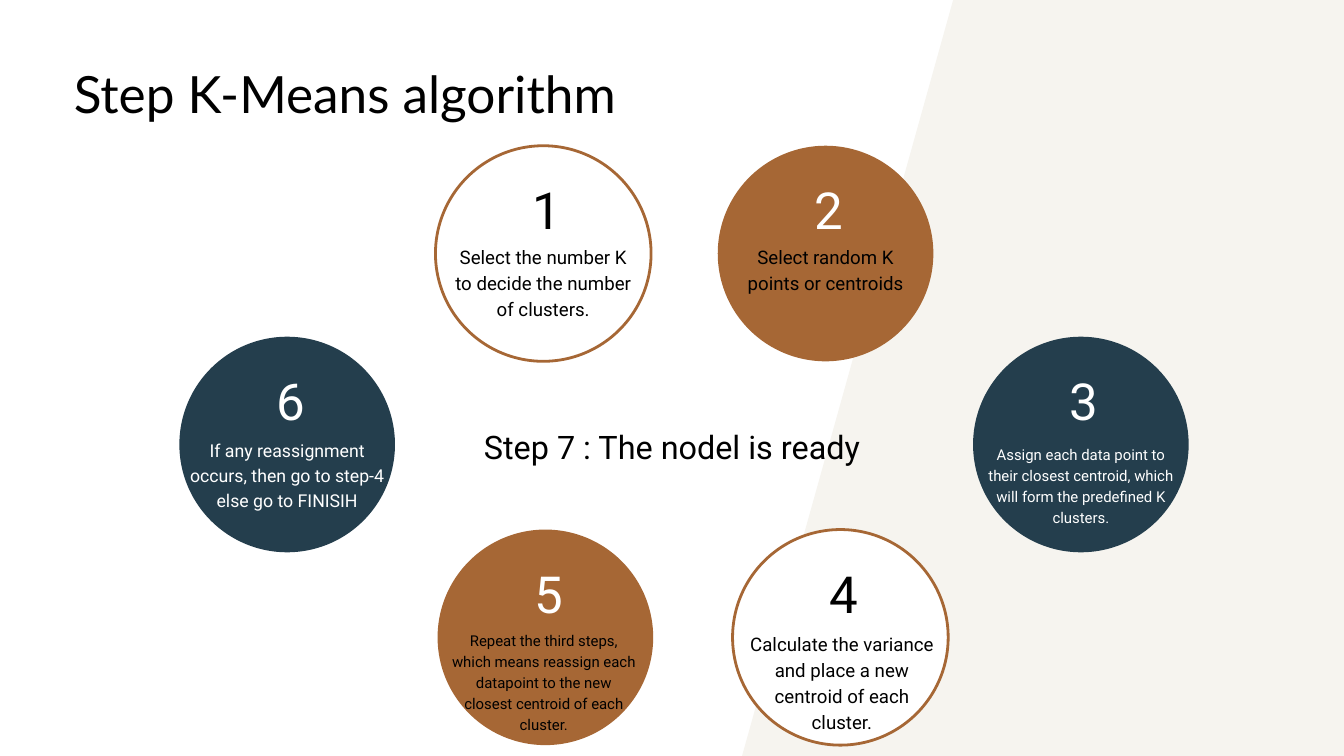
"""Build the slide that shows the steps of the K-Means algorithm."""
from dataclasses import dataclass

from pptx import Presentation
from pptx.dml.color import RGBColor
from pptx.enum.shapes import MSO_SHAPE
from pptx.enum.text import MSO_ANCHOR, PP_ALIGN
from pptx.shapes.autoshape import Shape
from pptx.slide import Slide
from pptx.util import Cm, Pt

OVAL, RECTANGLE = MSO_SHAPE.OVAL, MSO_SHAPE.RECTANGLE
CENTER, LEFT = PP_ALIGN.CENTER, PP_ALIGN.LEFT
TOP = MSO_ANCHOR.TOP

COLORS = {
    "white": "FFFFFF",
    "black": "000000",
    "sand": "F6F4EF",
    "brown": "A66735",
    "navy": "243E4D",
}
FRAME_FORMAT = {
    "margin_left": 0,
    "margin_top": 0,
    "margin_right": 0,
    "margin_bottom": 0,
    "word_wrap": True,
    "vertical_anchor": TOP,
}
DIAMETER = 8.15
NUMBER_WIDTH, NUMBER_HEIGHT = 0.97, 2.59
NUMBER_SHIFT, NUMBER_DROP = 0.07, 0.84
UPPER_ROW, MIDDLE_ROW, LOWER_ROW = 5.51, 12.73, 20.02


@dataclass(frozen=True)
class Box:
    left: float
    top: float
    width: float
    height: float

    def lengths(self) -> list[Cm]:
        return [Cm(value) for value in (self.left, self.top, self.width, self.height)]


@dataclass(frozen=True)
class Style:
    size: float
    spacing: float
    color: str = "black"
    name: str = "Roboto"
    alignment: PP_ALIGN = CENTER


@dataclass(frozen=True)
class Step:
    number: int
    left: float
    top: float
    fill: str
    number_color: str
    caption_color: str
    size: float
    drop: float
    width: float
    lines: int
    caption: str
    shift: float = 0
    outline: str = ""


STEPS = [
    Step(1, 16.46, UPPER_ROW, "white", "black", "black", 20, 3.63, 6.86, 3,
         "Select the number K to decide the number of clusters.", outline="brown"),
    Step(2, 27.13, UPPER_ROW, "brown", "white", "black", 20, 3.63, 6.86, 2,
         "Select random K points or centroids"),
    Step(3, 36.78, MIDDLE_ROW, "navy", "white", "white", 16, 4.01, 7.44, 4,
         "Assign each data point to their closest centroid, "
         "which will form the predefined K clusters."),
    Step(4, 27.69, LOWER_ROW, "white", "black", "black", 20, 3.76, 6.96, 4,
         "Calculate the variance and place a new centroid of each cluster.",
         shift=0.06, outline="brown"),
    Step(5, 16.54, LOWER_ROW, "brown", "white", "black", 16, 3.76, 6.96, 5,
         "Repeat the third steps, which means reassign each datapoint "
         "to the new closest centroid of each cluster.", shift=-0.06),
    Step(6, 6.78, MIDDLE_ROW, "navy", "white", "white", 19, 3.76, 7.44, 3,
         "If any reassignment occurs, then go to step-4 else go to FINISIH"),
]


def rgb(color: str) -> RGBColor:
    return RGBColor.from_string(COLORS[color])


def add_figure(slide: Slide, kind: MSO_SHAPE, box: Box, fill: str, outline: str = "") -> Shape:
    shape = slide.shapes.add_shape(kind, *box.lengths())
    shape.shadow.inherit = False
    shape.fill.solid()
    shape.fill.fore_color.rgb = rgb(fill)
    if outline:
        shape.line.color.rgb = rgb(outline)
        shape.line.width = Pt(3)
    else:
        shape.line.fill.background()
    return shape


def add_text(slide: Slide, text: str, box: Box, style: Style) -> None:
    frame = slide.shapes.add_textbox(*box.lengths()).text_frame
    for attribute, value in FRAME_FORMAT.items():
        setattr(frame, attribute, value)
    paragraph = frame.paragraphs[0]
    paragraph.alignment = style.alignment
    paragraph.line_spacing = Pt(style.spacing)
    run = paragraph.add_run()
    run.text = text
    for attribute, value in {"name": style.name, "size": Pt(style.size)}.items():
        setattr(run.font, attribute, value)
    run.font.color.rgb = rgb(style.color)


def add_step(slide: Slide, step: Step) -> None:
    add_figure(slide, OVAL, Box(step.left, step.top, DIAMETER, DIAMETER), step.fill, step.outline)
    center = step.left + DIAMETER / 2
    number_left = center + NUMBER_SHIFT - NUMBER_WIDTH / 2
    number_box = Box(number_left, step.top + NUMBER_DROP, NUMBER_WIDTH, NUMBER_HEIGHT)
    add_text(slide, str(step.number), number_box, Style(54.7, 76.6, step.number_color))
    spacing = round(step.size * 1.4, 1)
    caption_left = center + step.shift - step.width / 2
    caption_height = Pt(spacing * step.lines).cm
    caption_box = Box(caption_left, step.top + step.drop, step.width, caption_height)
    add_text(slide, step.caption, caption_box, Style(step.size, spacing, step.caption_color))


def main() -> None:
    presentation = Presentation()
    presentation.slide_width, presentation.slide_height = Cm(50.8), Cm(28.58)
    slide = presentation.slides.add_slide(presentation.slide_layouts[6])
    panel = add_figure(slide, RECTANGLE, Box(31.85, -1.96, 23.8, 37.11), "sand")
    panel.rotation = 15.6
    add_text(slide, "Step K-Means algorithm", Box(2.79, 2.21, 27.36, 2.44),
             Style(55, 69.8, name="Lato", alignment=LEFT))
    for step in STEPS:
        add_step(slide, step)
    add_text(slide, "Step 7 : The nodel is ready", Box(17.63, 15.9, 15.54, 1.63),
             Style(34.7, 48.6))
    presentation.save("out.pptx")


if __name__ == "__main__":
    main()
